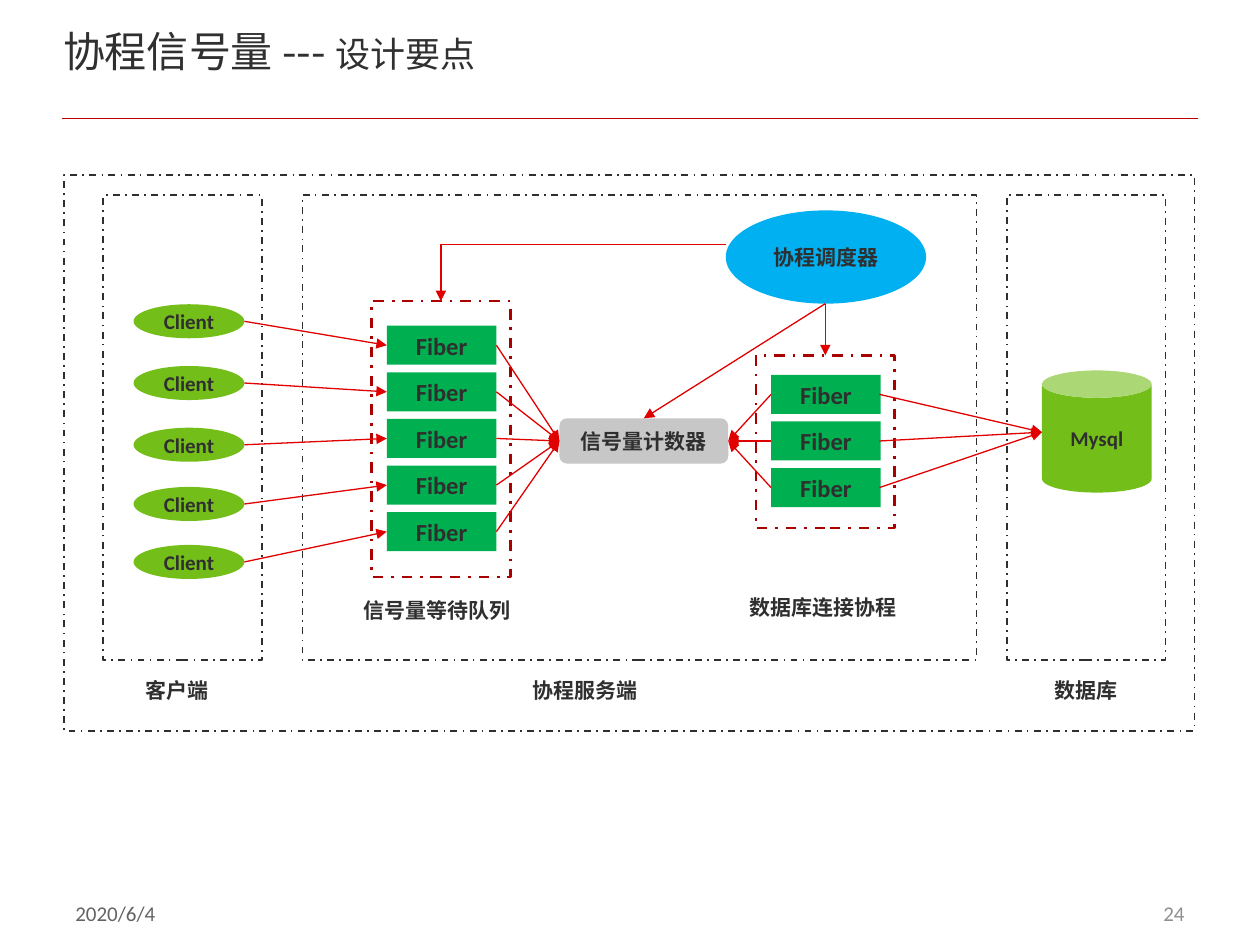
from lxml.etree import SubElement
from pptx import Presentation
from pptx.dml.color import RGBColor
from pptx.enum.dml import MSO_LINE as Dash
from pptx.enum.shapes import MSO_CONNECTOR as Wire, MSO_SHAPE as Form
from pptx.enum.text import MSO_ANCHOR as Anchor, MSO_AUTO_SIZE as Auto, PP_ALIGN as Align
from pptx.oxml.ns import qn
from pptx.util import Inches, Pt

INK = RGBColor(0x2F, 0x2F, 0x2F)
TITLE = RGBColor(0x30, 0x30, 0x30)
DATE = RGBColor(0x63, 0x63, 0x63)
PAGE = RGBColor(0x8F, 0x8F, 0x8F)
RULE = RGBColor(0xC0, 0x00, 0x00)
RED = RGBColor(0xE1, 0x00, 0x00)
DARK = RGBColor(0xAA, 0x00, 0x00)
GREEN = RGBColor(0x00, 0xB0, 0x50)
LIME = RGBColor(0x74, 0xBE, 0x1A)
BLUE = RGBColor(0x00, 0xB0, 0xF0)
GRAY = RGBColor(0xC7, 0xC7, 0xC7)
LATIN, HAN = "Calibri", "Noto Sans CJK SC"

deck = Presentation()
deck.slide_width, deck.slide_height = Inches(10), Inches(7.5)
COL, ROW = deck.slide_width / 100, deck.slide_height / 75
slide = deck.slides.add_slide(deck.slide_layouts[5])


def put(text, x, y, w, h, form=None, fill=None, edge=None, width=1, size=12,
        color=INK, bold=True, align=Align.LEFT, anchor=Anchor.TOP):
    area = [round(v) for v in (x * COL, y * ROW, w * COL, h * ROW)]
    if form is None:
        item = slide.shapes.add_textbox(*area)
    else:
        item = slide.shapes.add_shape(form, *area)
        item.shadow.inherit = False
        align, anchor = Align.CENTER, Anchor.MIDDLE
        if fill is None:
            item.fill.background()
        else:
            item.fill.solid()
            item.fill.fore_color.rgb = fill
        if edge is None:
            item.line.fill.background()
        else:
            item.line.color.rgb = edge
            item.line.width = Pt(width)
            item.line.dash_style = Dash.DASH_DOT
    if text:
        frame = item.text_frame
        frame.word_wrap = form is None
        frame.vertical_anchor = anchor
        para = frame.paragraphs[0]
        para.alignment = align
        run = para.add_run()
        run.text = text
        font = run.font
        font.name, font.size, font.bold = LATIN, Pt(size), bold
        font.color.rgb = color
        SubElement(run._r.rPr, qn("a:ea"), typeface=HAN)


def link(x1, y1, x2, y2, color=RED, width=0.75, head=True, bent=False):
    ends = [round(v) for v in (x1 * COL, y1 * ROW, x2 * COL, y2 * ROW)]
    wire = slide.shapes.add_connector(Wire.ELBOW if bent else Wire.STRAIGHT, *ends)
    wire.line.color.rgb = color
    wire.line.width = Pt(width)
    props = wire._element.spPr
    if bent:
        props.find(qn("a:prstGeom")).set("prst", "bentConnector2")
    if head:
        SubElement(props.find(qn("a:ln")), qn("a:tailEnd"), type="triangle")
    SubElement(props, qn("a:effectLst"))


title = slide.shapes.title
title.left, title.top = round(5 * COL), round(2 * ROW)
title.width, title.height = round(77.3 * COL), round(7 * ROW)
frame = title.text_frame
frame.margin_left = frame.margin_right = frame.margin_top = frame.margin_bottom = 0
frame.vertical_anchor, frame.auto_size = Anchor.TOP, Auto.NONE
frame.paragraphs[0].alignment = Align.LEFT
for words, size in (("协程信号量 --- ", 24), ("设计要点", 20)):
    run = frame.paragraphs[0].add_run()
    run.text = words
    run.font.name, run.font.size = HAN, Pt(size)
    run.font.color.rgb = TITLE
    SubElement(run._r.rPr, qn("a:ea"), typeface=HAN)

link(4.9, 9.4, 95.1, 9.4, color=RULE, width=1, head=False)
put("2020/6/4", 5, 69.8, 23.3, 5.3, color=DATE, bold=False, anchor=Anchor.MIDDLE)
put("24", 71.7, 69.8, 23.3, 5.3, color=PAGE, bold=False, align=Align.RIGHT,
    anchor=Anchor.MIDDLE)

for x, y, w, h in ((5.1, 13.9, 89.7, 44.1), (8.2, 15.5, 12.6, 36.9),
                   (24, 15.5, 53.5, 36.9), (79.9, 15.5, 12.6, 36.9)):
    put("", x, y, w, h, form=Form.RECTANGLE, edge=INK)
for x, y, h in ((29.5, 23.9, 21.9), (60, 28.2, 13.7)):
    put("", x, y, 11, h, form=Form.RECTANGLE, edge=DARK, width=1.5)

STEP, MID = 3.7, 35
queue = [27.4 + STEP * i for i in range(5)]
pool = [31.3 + STEP * i for i in range(3)]
guests = [25.5, 30.4, 35.3, 40, 44.6]

for x, rows in ((30.7, queue), (61.2, pool)):
    for y in rows:
        put("Fiber", x, y - 1.55, 8.7, 3.1, form=Form.RECTANGLE, fill=GREEN, size=14)
for y in guests:
    put("Client", 10.6, y - 1.35, 8.8, 2.7, form=Form.OVAL, fill=LIME)
put("信号量计数器", 44.4, 33.2, 13.4, 3.6, form=Form.ROUNDED_RECTANGLE, fill=GRAY)
put("协程调度器", 57.6, 16.7, 15.9, 7.4, form=Form.OVAL, fill=BLUE)
put("Mysql", 82.7, 29.4, 8.7, 9.7, form=Form.CAN, fill=LIME)

for start, y in zip(guests, queue):
    link(19.4, start, 30.7, y)
    link(39.4, y, 44.4, MID)
for y in pool:
    link(61.2, y, 57.8, MID)
    link(69.8, y, 82.7, 34.3)
link(65.5, 24.1, 51.1, 33.2)
link(65.5, 24.1, 65.5, 28.2)
link(57.6, 19.4, 35, 23.9, bent=True)

for words, x, y, w in (("信号量等待队列", 27.9, 46.9, 15), ("数据库连接协程", 58.5, 46.7, 15),
                       ("客户端", 10.6, 53.3, 7.4), ("协程服务端", 41.3, 53.3, 10.7),
                       ("数据库", 82.7, 53.3, 7.4)):
    put(words, x, y, w, 3)

deck.save("out.pptx")
